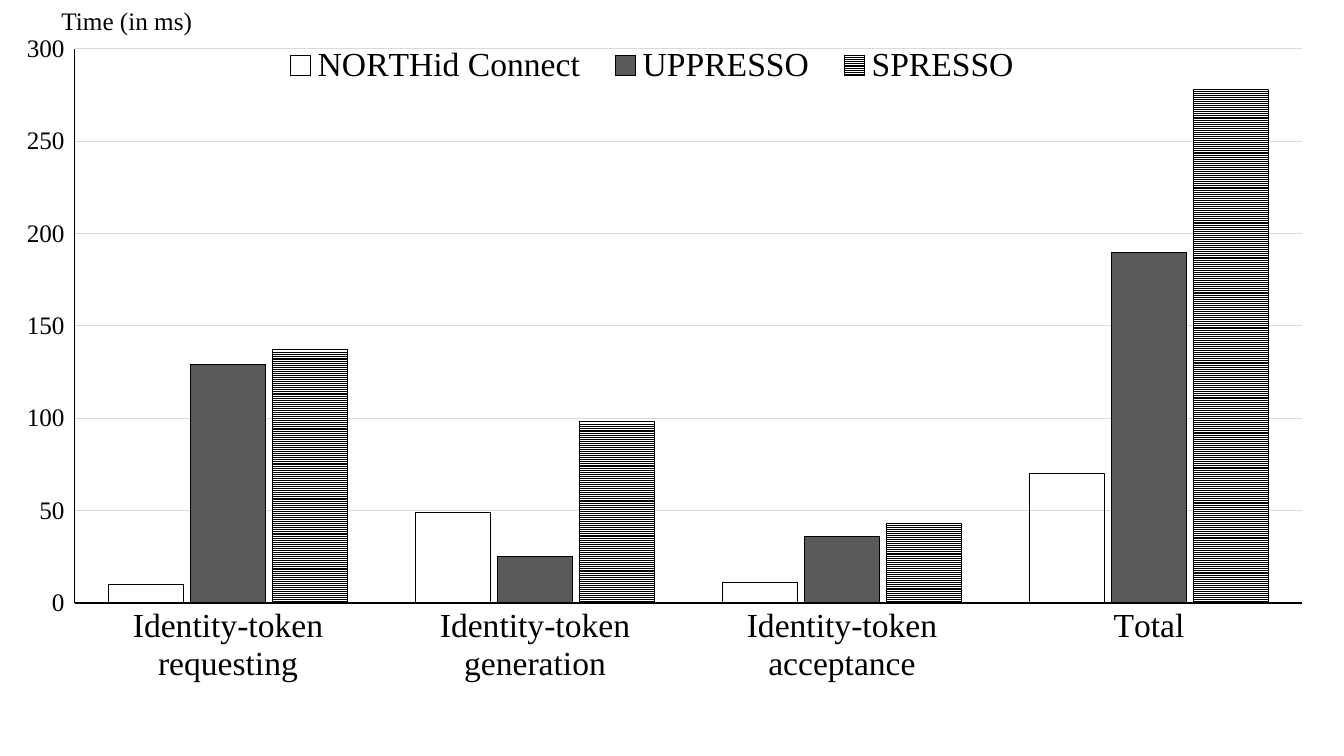
from dataclasses import dataclass
from typing import Optional

from lxml.etree import SubElement
from pptx import Presentation
from pptx.chart.data import CategoryChartData
from pptx.dml.color import RGBColor
from pptx.enum.chart import XL_CHART_TYPE, XL_LEGEND_POSITION, XL_TICK_LABEL_POSITION, XL_TICK_MARK
from pptx.enum.dml import MSO_PATTERN
from pptx.enum.text import MSO_AUTO_SIZE
from pptx.oxml.ns import qn
from pptx.util import Cm, Pt

FONT = "Times New Roman"
COLORS = {"ink": "000000", "paper": "FFFFFF", "bar": "595959", "grid": "D9D9D9"}
CATEGORIES = ["Identity-token requesting", "Identity-token generation",
              "Identity-token acceptance", "Total"]


@dataclass
class Scheme:
    name: str
    times: list[int]
    color: Optional[str] = None
    pattern: Optional[MSO_PATTERN] = None


@dataclass
class Layout:
    x: float
    y: float
    w: float
    h: float
    inner: bool = False


SCHEMES = [
    Scheme("NORTHid Connect", [10, 49, 11, 70]),
    Scheme("UPPRESSO", [129, 25, 36, 190], color="bar"),
    Scheme("SPRESSO", [137, 98, 43, 278], pattern=MSO_PATTERN.LIGHT_HORIZONTAL),
]


def rgb(name: str) -> RGBColor:
    return RGBColor.from_string(COLORS[name])


def set_font(font, size: int) -> None:
    font.name = FONT
    font.size = Pt(size)
    font.color.rgb = rgb("ink")


def set_line(line, color: str) -> None:
    line.color.rgb = rgb(color)
    line.width = Pt(0.75)


def set_layout(parent, index: int, layout: Layout) -> None:
    for old in parent.findall(qn("c:layout")):
        parent.remove(old)
    element = SubElement(parent, qn("c:layout"))
    parent.insert(index, element)
    manual = SubElement(element, qn("c:manualLayout"))
    values = {"xMode": "edge", "yMode": "edge", "x": layout.x, "y": layout.y,
              "w": layout.w, "h": layout.h}
    if layout.inner:
        values = {"layoutTarget": "inner", **values}
    for tag, value in values.items():
        SubElement(manual, qn(f"c:{tag}")).set("val", str(value))


def fill_bars(series, scheme: Scheme) -> None:
    fill = series.format.fill
    if scheme.pattern:
        fill.patterned()
        fill.pattern = scheme.pattern
        fill.fore_color.rgb = rgb("ink")
        fill.back_color.rgb = rgb("paper")
    elif scheme.color:
        fill.solid()
        fill.fore_color.rgb = rgb(scheme.color)
    else:
        fill.background()
    series.invert_if_negative = False
    set_line(series.format.line, "ink")


def style_axis(axis, size: int) -> None:
    axis.major_tick_mark = axis.minor_tick_mark = XL_TICK_MARK.NONE
    set_font(axis.tick_labels.font, size)
    set_line(axis.format.line, "ink")


def add_time_chart(slide) -> None:
    data = CategoryChartData()
    data.categories = CATEGORIES
    for scheme in SCHEMES:
        data.add_series(scheme.name, scheme.times)
    chart = slide.shapes.add_chart(XL_CHART_TYPE.COLUMN_CLUSTERED, Cm(0), Cm(0.53),
                                   Cm(33.53), Cm(18.52), data).chart
    chart.has_title = False
    set_font(chart.font, 10)

    plot = chart.plots[0]
    plot.gap_width = 90
    plot.overlap = -9
    plot.vary_by_categories = False
    for series, scheme in zip(plot.series, SCHEMES):
        fill_bars(series, scheme)

    style_axis(chart.category_axis, 24)
    axis = chart.value_axis
    style_axis(axis, 18)
    axis.minimum_scale, axis.maximum_scale, axis.major_unit = 0, 300, 50
    axis.tick_label_position = XL_TICK_LABEL_POSITION.LOW
    axis.has_major_gridlines = True
    set_line(axis.major_gridlines.format.line, "grid")

    chart.has_legend = True
    legend = chart.legend
    legend.position = XL_LEGEND_POSITION.BOTTOM
    legend.include_in_layout = False
    set_font(legend.font, 24)
    plot_area = chart.element.find(f".//{qn('c:plotArea')}")
    legend_element = chart.element.find(f".//{qn('c:legend')}")
    set_layout(plot_area, 0, Layout(0.056, 0.038, 0.923, 0.754, inner=True))
    set_layout(legend_element, 1, Layout(0.2, 0.03, 0.58, 0.06))


def add_axis_caption(slide) -> None:
    tf = slide.shapes.add_textbox(Cm(1.3), Cm(0), Cm(3.84), Cm(1.02)).text_frame
    tf.word_wrap = False
    tf.auto_size = MSO_AUTO_SIZE.SHAPE_TO_FIT_TEXT
    r = tf.paragraphs[0].add_run()
    r.text = "Time (in ms)"
    set_font(r.font, 18)


def main() -> None:
    prs = Presentation()
    prs.slide_width, prs.slide_height = Cm(33.87), Cm(19.05)
    slide = prs.slides.add_slide(prs.slide_layouts[6])
    add_time_chart(slide)
    add_axis_caption(slide)
    prs.save("out.pptx")


if __name__ == "__main__":
    main()
